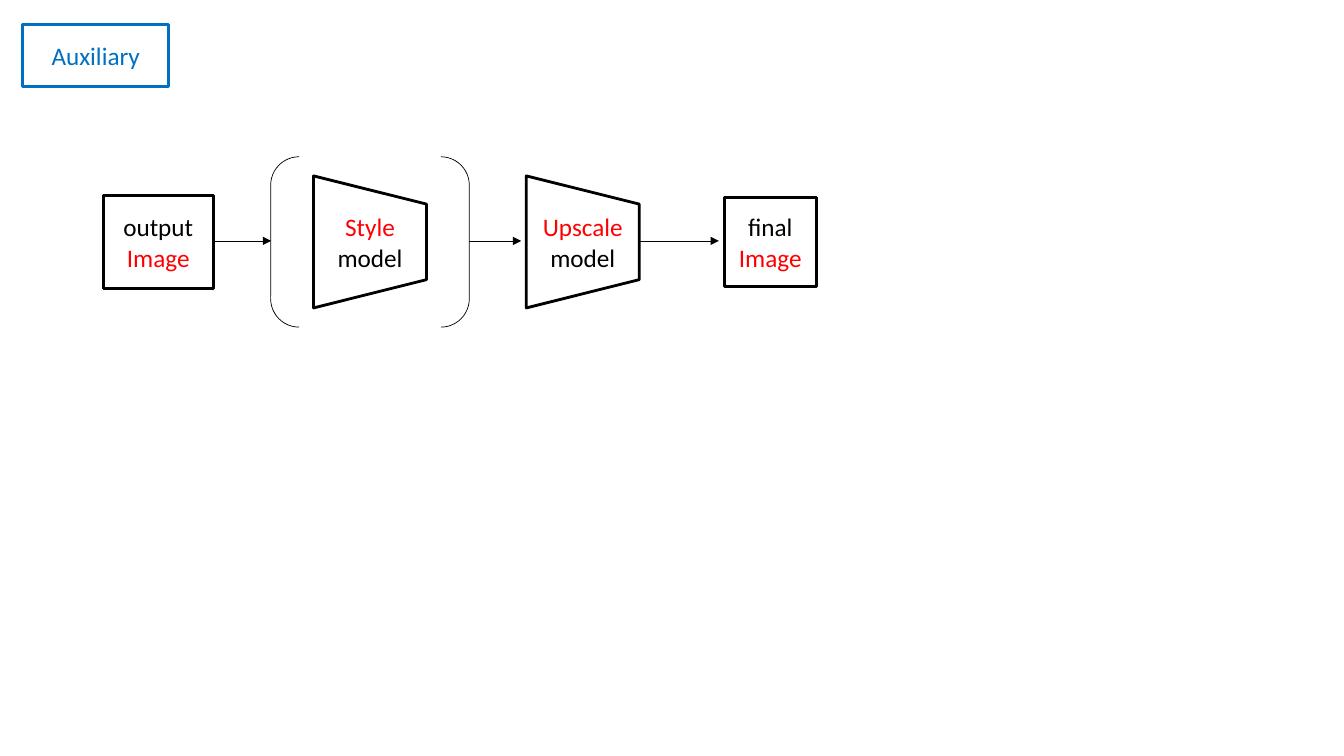
from pptx import Presentation
from pptx.dml.color import RGBColor
from pptx.enum.shapes import MSO_CONNECTOR as Connector, MSO_SHAPE as Shape
from pptx.enum.text import MSO_ANCHOR as Anchor, PP_ALIGN as Align
from pptx.oxml.ns import qn
from pptx.util import Inches, Pt
from lxml.etree import SubElement

BLACK, RED, BLUE = "000000", "FF0000", "0070C0"
ROW = 2.4
TEXT_WIDTH, LINE_HEIGHT, PADDING = 1.35, 0.3, 0.1
TRAPEZOID = (1.31, 1.12)

NODES = [
    (Shape.RECTANGLE, 0.95, 0.55, (1.45, 0.61), 0, BLUE, [("Auxiliary", BLUE)]),
    (Shape.RECTANGLE, 1.57, ROW, (1.09, 0.92), 0, BLACK, [("output", BLACK), ("Image", RED)]),
    (Shape.TRAPEZOID, 3.67, ROW, TRAPEZOID, 90, BLACK, [("Style", RED), ("model", BLACK)]),
    (Shape.TRAPEZOID, 5.78, ROW, TRAPEZOID, 90, BLACK, [("Upscale", RED), ("model", BLACK)]),
    (Shape.RECTANGLE, 7.64, ROW, (0.91, 0.88), 0, BLACK, [("final", BLACK), ("Image", RED)]),
]
BRACKET = (Shape.DOUBLE_BRACKET, 3.67, ROW, (1.97, 1.69), 0, BLACK)
ARROWS = [(2.11, 2.69), (4.65, 5.17), (6.35, 7.13)]


def color(hex_code):
    return RGBColor.from_string(hex_code)


def centred(x, y, size):
    w, h = size
    return [Inches(v) for v in (x - w / 2, y - h / 2, w, h)]


def add_outline(slide, kind, x, y, size, rotation, line, weight):
    s = slide.shapes.add_shape(kind, *centred(x, y, size))
    s.rotation = rotation
    s.shadow.inherit = False
    s.fill.background()
    s.line.color.rgb = color(line)
    s.line.width = Pt(weight)


def add_label(slide, x, y, lines):
    size = (TEXT_WIDTH, LINE_HEIGHT * len(lines) + PADDING)
    tf = slide.shapes.add_textbox(*centred(x, y, size)).text_frame
    tf.word_wrap = True
    tf.vertical_anchor = Anchor.MIDDLE
    for i, (text, hex_code) in enumerate(lines):
        p = tf.add_paragraph() if i else tf.paragraphs[0]
        p.text = text
        p.alignment = Align.CENTER
        p.font.name = "Calibri"
        p.font.size = Pt(18)
        p.font.color.rgb = color(hex_code)


def add_arrow(slide, start, end, y):
    c = slide.shapes.add_connector(
        Connector.STRAIGHT, *[Inches(v) for v in (start, y, end, y)])
    c.line.color.rgb = color(BLACK)
    c.line.width = Pt(0.5)
    SubElement(c.line._get_or_add_ln(), qn("a:tailEnd"), type="triangle")
    SubElement(c._element.spPr, qn("a:effectLst"))


def main():
    prs = Presentation()
    prs.slide_width, prs.slide_height = Inches(13.33), Inches(7.5)
    slide = prs.slides.add_slide(prs.slide_layouts[6])
    for *outline, lines in NODES:
        add_outline(slide, *outline, 2)
        add_label(slide, outline[1], outline[2], lines)
    add_outline(slide, *BRACKET, 0.5)
    for start, end in ARROWS:
        add_arrow(slide, start, end, ROW - 0.01)
    prs.save("out.pptx")


if __name__ == "__main__":
    main()
